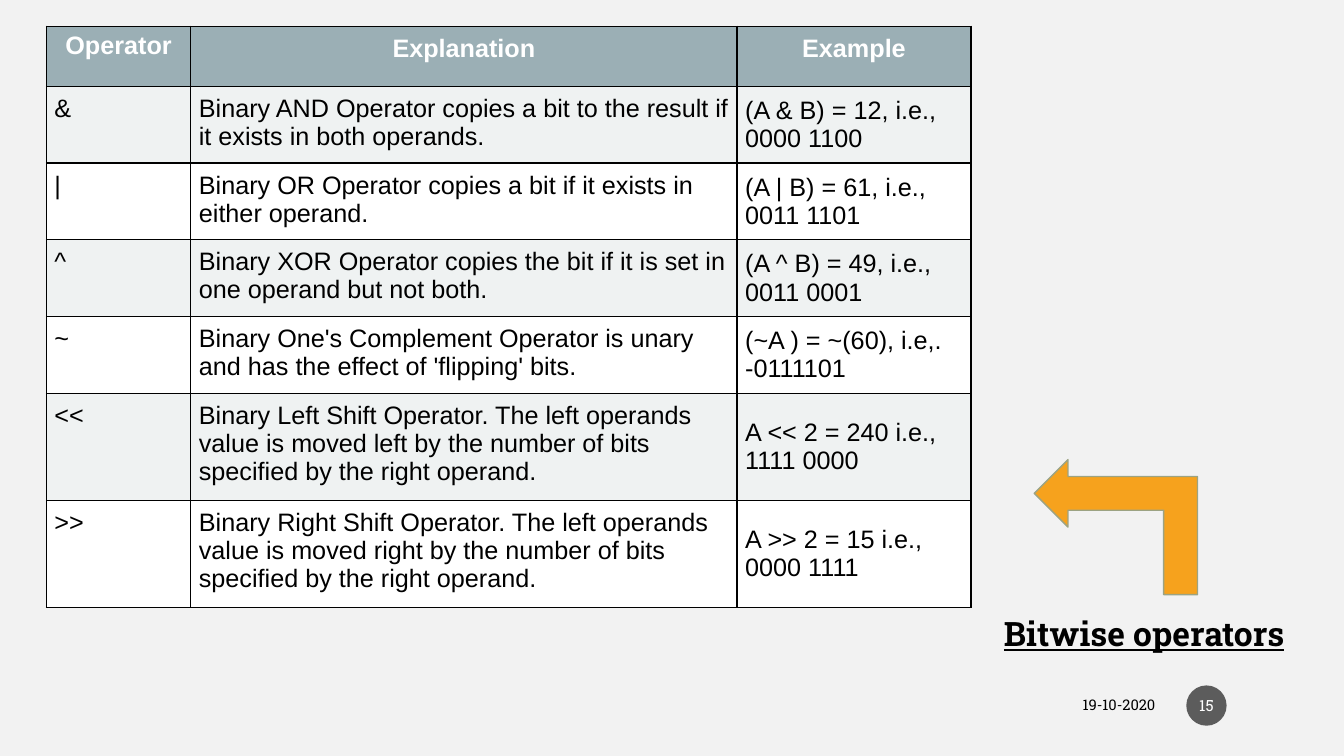
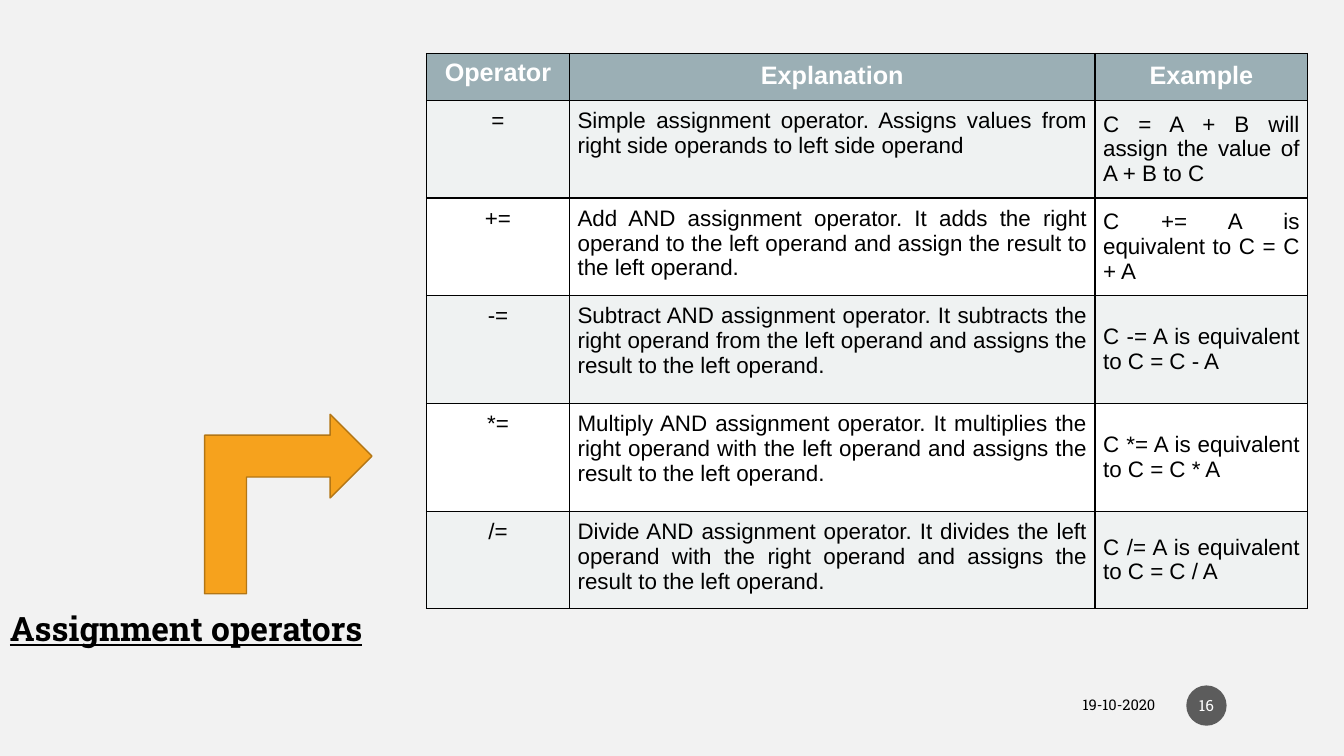
"""Build two slides of operator tables, each with a heading and a bent arrow."""
import pptx
import pptx.dml.color
import pptx.enum.shapes
import pptx.enum.text
import pptx.oxml
import pptx.oxml.ns
import pptx.util

Pt = pptx.util.Pt
RGBColor = pptx.dml.color.RGBColor
ALIGN = pptx.enum.text.PP_ALIGN
ANCHOR = pptx.enum.text.MSO_ANCHOR
SHAPE = pptx.enum.shapes.MSO_SHAPE

BACKGROUND = RGBColor(0xF2, 0xF2, 0xF2)
HEADER = RGBColor(0x9B, 0xAF, 0xB5)
BAND = RGBColor(0xEF, 0xF2, 0xF2)
WHITE = RGBColor(0xFF, 0xFF, 0xFF)
BLACK = RGBColor(0x00, 0x00, 0x00)
BADGE = RGBColor(0x1D, 0x1D, 0x1D)
ORANGE = RGBColor(0xF6, 0xA2, 0x1D)
SAGE = RGBColor(0x9C, 0xA3, 0x83)
BROWN = RGBColor(0xB3, 0x76, 0x15)
TEXT_FONT = "Roboto Slab"
TABLE_FONT = "Arial"
HEADINGS = ("Operator", "Explanation", "Example")
NAMESPACE = pptx.oxml.ns.nsdecls("a")

SLIDES = [
    {
        "number": "15",
        "title": "Bitwise operators",
        "title_frame": (710, 434.2, 234, 36),
        "arrow": SHAPE.BENT_UP_ARROW,
        "arrow_frame": (748.8, 318.2, 96.5, 116.6),
        "rotation": 270,
        "adjustments": (0.25, 0.25, 0.25),
        "outline": SAGE,
        "origin": (33.1, 18.7),
        "columns": (103.2, 390.2, 167.1),
        "heights": (43, 52.5, 52.2, 52.2, 52.2, 72.8, 72.2),
        "size": 18,
        "alignments": (ALIGN.LEFT, ALIGN.LEFT, ALIGN.LEFT),
        "rows": [
            ("&", "Binary AND Operator copies a bit to the result if it exists in both operands.",
             "(A & B) = 12, i.e., 0000 1100"),
            ("|", "Binary OR Operator copies a bit if it exists in either operand.",
             "(A | B) = 61, i.e., 0011 1101"),
            ("^", "Binary XOR Operator copies the bit if it is set in one operand but not both.",
             "(A ^ B) = 49, i.e., 0011 0001"),
            ("~", "Binary One's Complement Operator is unary and has the effect of 'flipping' bits.",
             "(~A ) = ~(60), i.e,. -0111101"),
            ("<<", "Binary Left Shift Operator. The left operands value is moved left "
             "by the number of bits specified by the right operand.",
             "A << 2 = 240 i.e., 1111 0000"),
            (">>", "Binary Right Shift Operator. The left operands value is moved right "
             "by the number of bits specified by the right operand.",
             "A >> 2 = 15 i.e., 0000 1111"),
        ],
    },
    {
        "number": "16",
        "title": "Assignment operators",
        "title_frame": (0, 430.6, 290, 36),
        "arrow": SHAPE.BENT_ARROW,
        "arrow_frame": (146.2, 295.9, 119.5, 128.2),
        "rotation": 0,
        "adjustments": (0.25, 0.25, 0.25, 0),
        "outline": BROWN,
        "origin": (304.6, 38.2),
        "columns": (102.2, 375.4, 152),
        "heights": (33.6, 69.6, 69.6, 77.1, 77.1, 69.4),
        "size": 16,
        "alignments": (ALIGN.CENTER, ALIGN.JUSTIFY, ALIGN.JUSTIFY),
        "rows": [
            ("=", "Simple assignment operator. Assigns values from right side operands "
             "to left side operand",
             "C = A + B will assign the value of A + B to C"),
            ("+=", "Add AND assignment operator. It adds the right operand to the left operand "
             "and assign the result to the left operand.",
             "C += A is equivalent to C = C + A"),
            ("-=", "Subtract AND assignment operator. It subtracts the right operand "
             "from the left operand and assigns the result to the left operand.",
             "C -= A is equivalent to C = C - A"),
            ("*=", "Multiply AND assignment operator. It multiplies the right operand "
             "with the left operand and assigns the result to the left operand.",
             "C *= A is equivalent to C = C * A"),
            ("/=", "Divide AND assignment operator. It divides the left operand "
             "with the right operand and assigns the result to the left operand.",
             "C /= A is equivalent to C = C / A"),
        ],
    },
]


def write(frame, text, font, size, color, alignment, bold=False):
    """Put one formatted paragraph into a text frame."""
    frame.text = text
    frame.word_wrap = True
    paragraph = frame.paragraphs[0]
    paragraph.alignment = alignment
    span = paragraph.runs[0]
    span.font.name = font
    span.font.size = Pt(size)
    span.font.bold = bold
    span.font.color.rgb = color
    return span


def style_cell(cell, fill):
    """Give a table cell black borders, a fill and even margins."""
    properties = cell._tc.get_or_add_tcPr()
    for side in ("lnL", "lnR", "lnT", "lnB"):
        properties.append(pptx.oxml.parse_xml(
            f'<a:{side} {NAMESPACE} w="{Pt(1)}"><a:solidFill>'
            f'<a:srgbClr val="{BLACK}"/></a:solidFill></a:{side}>'))
    cell.fill.solid()
    cell.fill.fore_color.rgb = fill
    cell.margin_left = cell.margin_right = Pt(5.8)
    cell.margin_top = cell.margin_bottom = Pt(5.8)


deck = pptx.Presentation()
deck.slide_width = Pt(960)
deck.slide_height = Pt(540)
deck.slide_master.background.fill.solid()
deck.slide_master.background.fill.fore_color.rgb = BACKGROUND

for content in SLIDES:
    page = deck.slides.add_slide(deck.slide_layouts[6])

    date_box = page.shapes.add_textbox(Pt(615.6), Pt(491), Pt(216.7), Pt(25.2))
    date_box.text_frame.vertical_anchor = ANCHOR.MIDDLE
    write(date_box.text_frame, "19-10-2020", TEXT_FONT, 10.5, BLACK, ALIGN.RIGHT)

    badge = page.shapes.add_shape(SHAPE.OVAL, Pt(847.4), Pt(489.6), Pt(28.8), Pt(28.8))
    badge.shadow.inherit = False
    badge.line.fill.background()
    badge.fill.solid()
    badge.fill.fore_color.rgb = BADGE
    badge_color = badge._element.spPr.find(".//" + pptx.oxml.ns.qn("a:srgbClr"))
    badge_color.append(pptx.oxml.parse_xml(f'<a:alpha {NAMESPACE} val="70000"/>'))
    badge.text_frame.margin_left = badge.text_frame.margin_right = Pt(1.4)
    badge.text_frame.vertical_anchor = ANCHOR.MIDDLE
    write(badge.text_frame, content["number"], TEXT_FONT, 11, WHITE, ALIGN.CENTER)

    title_box = page.shapes.add_textbox(*map(Pt, content["title_frame"]))
    title = write(title_box.text_frame, content["title"], TEXT_FONT, 24, BLACK, ALIGN.LEFT, True)
    title.font.underline = True

    arrow = page.shapes.add_shape(content["arrow"], *map(Pt, content["arrow_frame"]))
    arrow.shadow.inherit = False
    arrow.rotation = content["rotation"]
    for index, value in enumerate(content["adjustments"]):
        arrow.adjustments[index] = value
    arrow.fill.solid()
    arrow.fill.fore_color.rgb = ORANGE
    arrow.line.color.rgb = content["outline"]
    arrow.line.width = Pt(1)

    left, top = content["origin"]
    table = page.shapes.add_table(
        len(content["heights"]), len(HEADINGS), Pt(left), Pt(top),
        Pt(sum(content["columns"])), Pt(sum(content["heights"]))).table
    table.horz_banding = False
    for column, width in zip(table.columns, content["columns"]):
        column.width = Pt(width)
    for row, height in zip(table.rows, content["heights"]):
        row.height = Pt(height)

    for index, heading in enumerate(HEADINGS):
        cell = table.cell(0, index)
        style_cell(cell, HEADER)
        write(cell.text_frame, heading, TABLE_FONT, 18, WHITE, ALIGN.CENTER, True)
    table.cell(0, 0).margin_top = table.cell(0, 0).margin_bottom = Pt(3.6)

    for row_index, texts in enumerate(content["rows"], start=1):
        for index, text in enumerate(texts):
            cell = table.cell(row_index, index)
            style_cell(cell, BAND if row_index % 2 else WHITE)
            write(cell.text_frame, text, TABLE_FONT, content["size"], BLACK,
                  content["alignments"][index])
        table.cell(row_index, 2).vertical_anchor = ANCHOR.MIDDLE

deck.save("out.pptx")
